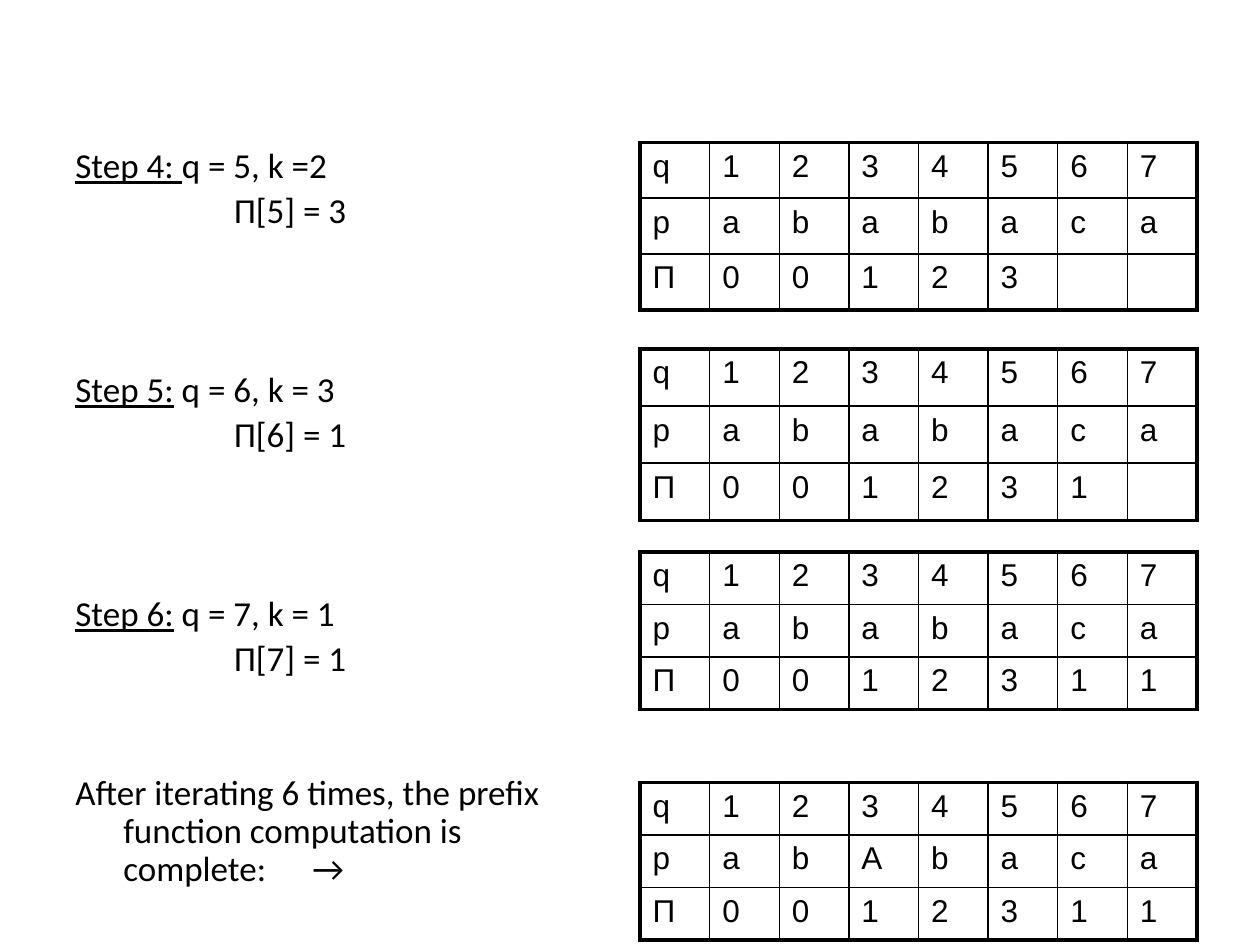
from lxml.etree import SubElement
from pptx import Presentation
from pptx.dml.color import RGBColor
from pptx.oxml.ns import qn
from pptx.util import Inches, Pt

BLACK = RGBColor(0x00, 0x00, 0x00)
WIDTH, HEIGHT = 10, 7.5
COLUMNS = list("1234567")
PATTERN = list("ababaca")
PREFIX = list("0012311")


class PrefixSlide:
    text_font, text_size = "Calibri", Pt(20)
    table_font, table_size = "Arial", Pt(18)
    outer_line, inner_line = Pt(2.25), Pt(1)
    hanging = 0.38

    def __init__(self, presentation):
        self.slide = presentation.slides.add_slide(presentation.slide_layouts[6])

    def frame(self, left, top, width, height):
        return (Inches(left * WIDTH), Inches(top * HEIGHT),
                Inches(width * WIDTH), Inches(height * HEIGHT))

    def text_box(self, *shares):
        text_frame = self.slide.shapes.add_textbox(*self.frame(*shares)).text_frame
        text_frame.word_wrap = True
        return text_frame

    def paragraph(self, text_frame, text, before=4, underlined="", margin=None, tab=None):
        first = not text_frame.text
        paragraph = text_frame.paragraphs[0] if first else text_frame.add_paragraph()
        properties = paragraph._p.get_or_add_pPr()
        indent = -self.hanging if margin is None else 0
        properties.set("marL", str(Inches(self.hanging if margin is None else margin)))
        properties.set("indent", str(Inches(indent)))
        paragraph.line_spacing = 0.9
        if not first:
            paragraph.space_before = Pt(before)
        if tab:
            stops = SubElement(properties, qn("a:tabLst"))
            SubElement(stops, qn("a:tab"), pos=str(Inches(tab)), algn="l")
        self.style(paragraph, self.text_font, self.text_size)
        if underlined:
            run = paragraph.add_run()
            run.text = underlined
            run.font.underline = True
        paragraph.add_run().text = text

    def style(self, paragraph, name, size):
        paragraph.font.name = name
        paragraph.font.size = size
        paragraph.font.color.rgb = BLACK

    def border(self, cell, side, width):
        line = SubElement(cell._tc.get_or_add_tcPr(), qn(f"a:ln{side}"), w=str(width))
        fill = SubElement(line, qn("a:solidFill"))
        SubElement(fill, qn("a:srgbClr"), val=str(BLACK))

    def table(self, rows, *shares):
        row_count, column_count = len(rows), len(rows[0])
        table = self.slide.shapes.add_table(
            row_count, column_count, *self.frame(*shares)).table
        table.first_row = table.horz_banding = False
        for row, values in enumerate(rows):
            for column, value in enumerate(values):
                cell = table.cell(row, column)
                edges = {"L": column == 0, "R": column == column_count - 1,
                         "T": row == 0, "B": row == row_count - 1}
                for side, outer in edges.items():
                    self.border(cell, side, self.outer_line if outer else self.inner_line)
                cell.fill.background()
                cell.text = value
                self.style(cell.text_frame.paragraphs[0], self.table_font, self.table_size)


def main():
    presentation = Presentation()
    presentation.slide_width = Inches(WIDTH)
    presentation.slide_height = Inches(HEIGHT)
    page = PrefixSlide(presentation)

    steps = page.text_box(0.05, 1.13 / HEIGHT, 0.442, 6.2 / HEIGHT)
    for label, state, result in (
        ("Step 4: ", "q = 5, k =2", "Π[5] = 3"),
        ("Step 5:", " q = 6, k = 3", "Π[6] = 1"),
        ("Step 6:", " q = 7, k = 1", "Π[7] = 1"),
    ):
        page.paragraph(steps, state, before=80.8, underlined=label)
        page.paragraph(steps, result, margin=1.26)
    page.paragraph(
        steps,
        "After iterating 6 times, the prefix function computation is complete:\t→",
        before=55, tab=2.63)

    final_pattern = PATTERN[:2] + ["A"] + PATTERN[3:]
    for top, height, pattern, known in (
        (1.13, 1.33, PATTERN, 5),
        (2.77, 1.36, PATTERN, 6),
        (4.38, 1.25, PATTERN, 7),
        (6.21, 1.25, final_pattern, 7),
    ):
        prefix = PREFIX[:known] + [""] * (len(PREFIX) - known)
        rows = [["q"] + COLUMNS, ["p"] + pattern, ["Π"] + prefix]
        page.table(rows, 0.508, top / HEIGHT, 0.442, height / HEIGHT)

    presentation.save("out.pptx")


if __name__ == "__main__":
    main()
